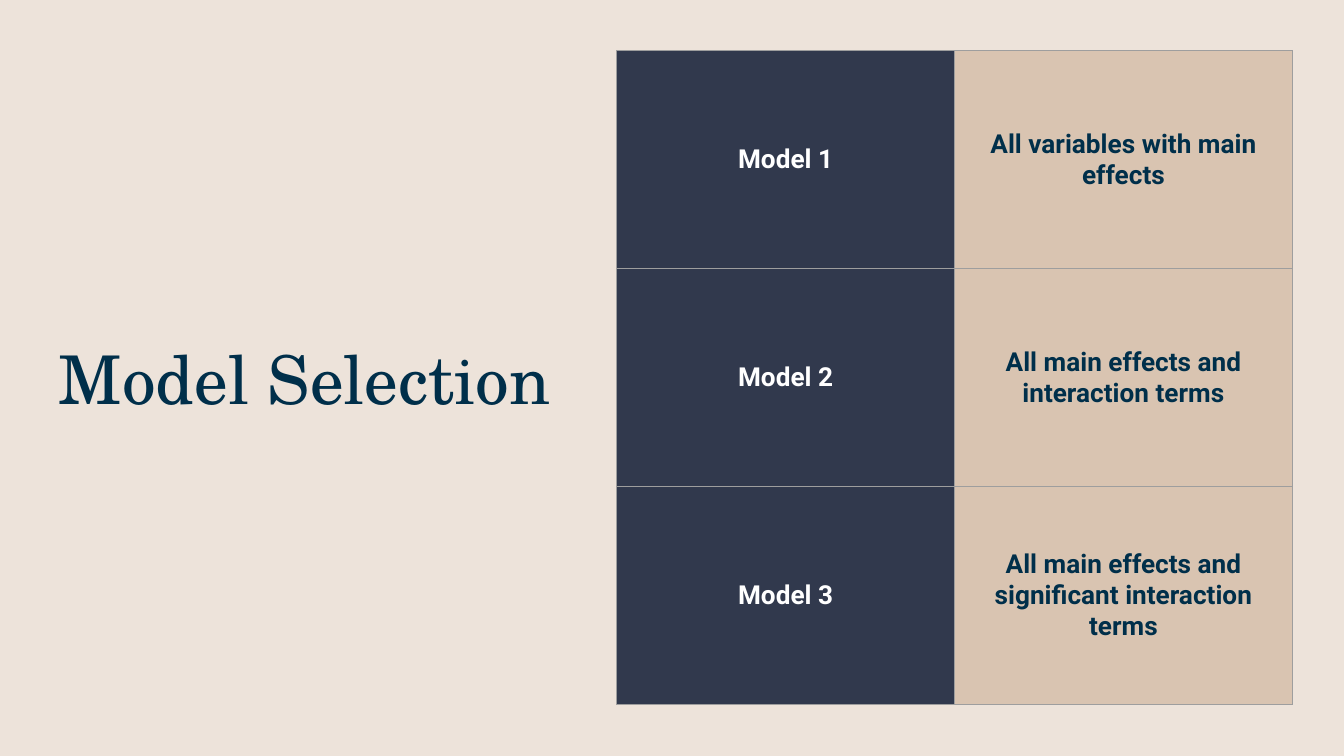
import pptx
import pptx.dml.color
import pptx.enum.text
import pptx.oxml
import pptx.oxml.ns
import pptx.util

Pt = pptx.util.Pt
COLORS = {
    "background": "EDE3DA",
    "ink": "002F4A",
    "navy": "31394D",
    "sand": "D9C4B1",
    "white": "FFFFFF",
    "border": "9E9E9E",
}
MODELS = [
    ("Model 1", "All variables with main effects"),
    ("Model 2", "All main effects and interaction terms"),
    ("Model 3", "All main effects and significant interaction terms"),
]
COLUMN_STYLES = [("navy", "white"), ("sand", "ink")]  # fill, text


def rgb(name):
    return pptx.dml.color.RGBColor.from_string(COLORS[name])


class SlideBuilder:
    title_font = "TeX Gyre Schola"
    body_font = "Roboto"
    inset = Pt(7.2)
    border_width = Pt(0.75)

    def __init__(self, prs):
        self.s = prs.slides.add_slide(prs.slide_layouts[6])
        fill = self.s.background.fill
        fill.solid()
        fill.fore_color.rgb = rgb("background")

    def set_insets(self, box):
        """Give a text frame or a table cell the common inner margins."""
        box.margin_left = box.margin_right = self.inset
        box.margin_top = box.margin_bottom = self.inset
        box.vertical_anchor = pptx.enum.text.MSO_ANCHOR.MIDDLE

    def set_font(self, p, name, size, color, bold=False):
        p.font.name = name
        p.font.size = Pt(size)
        p.font.bold = bold
        p.font.color.rgb = rgb(color)

    def title(self, text, left, top, width, height):
        sp = self.s.shapes.add_textbox(Pt(left), Pt(top), Pt(width), Pt(height))
        tf = sp.text_frame
        tf.word_wrap = True
        self.set_insets(tf)
        p = tf.paragraphs[0]
        p.text = text
        self.set_font(p, self.title_font, 36, "ink")

    def borders(self, cell):
        """Add the four border lines; call before setting the cell's fill."""
        tcPr = cell._tc.get_or_add_tcPr()
        for side in "LRTB":
            tcPr.append(pptx.oxml.parse_xml(
                f'<a:ln{side} {pptx.oxml.ns.nsdecls("a")} w="{self.border_width}">'
                f'<a:solidFill><a:srgbClr val="{COLORS["border"]}"/></a:solidFill>'
                f'</a:ln{side}>'))

    def cell(self, cell, text, fill, color):
        self.set_insets(cell)
        self.borders(cell)
        cell.fill.solid()
        cell.fill.fore_color.rgb = rgb(fill)
        p = cell.text_frame.paragraphs[0]
        p.text = text
        p.alignment = pptx.enum.text.PP_ALIGN.CENTER
        self.set_font(p, self.body_font, 14, color, bold=True)

    def table(self, rows, left, top, col_width, row_height):
        cols = len(COLUMN_STYLES)
        table = self.s.shapes.add_table(
            len(rows), cols, Pt(left), Pt(top),
            Pt(col_width * cols), Pt(row_height * len(rows))).table
        table.first_row = table.horz_banding = False
        for column in table.columns:
            column.width = Pt(col_width)
        for i, row in enumerate(rows):
            table.rows[i].height = Pt(row_height)
            for j, (text, (fill, color)) in enumerate(zip(row, COLUMN_STYLES)):
                self.cell(table.cell(i, j), text, fill, color)


def main():
    prs = pptx.Presentation()
    prs.slide_width, prs.slide_height = Pt(720), Pt(405)
    slide = SlideBuilder(prs)
    slide.title("Model Selection", 24.5, 62.6, 491.8, 279.4)
    slide.table(MODELS, 330.4, 27.2, 181, 116.8)
    prs.save("out.pptx")


if __name__ == "__main__":
    main()
